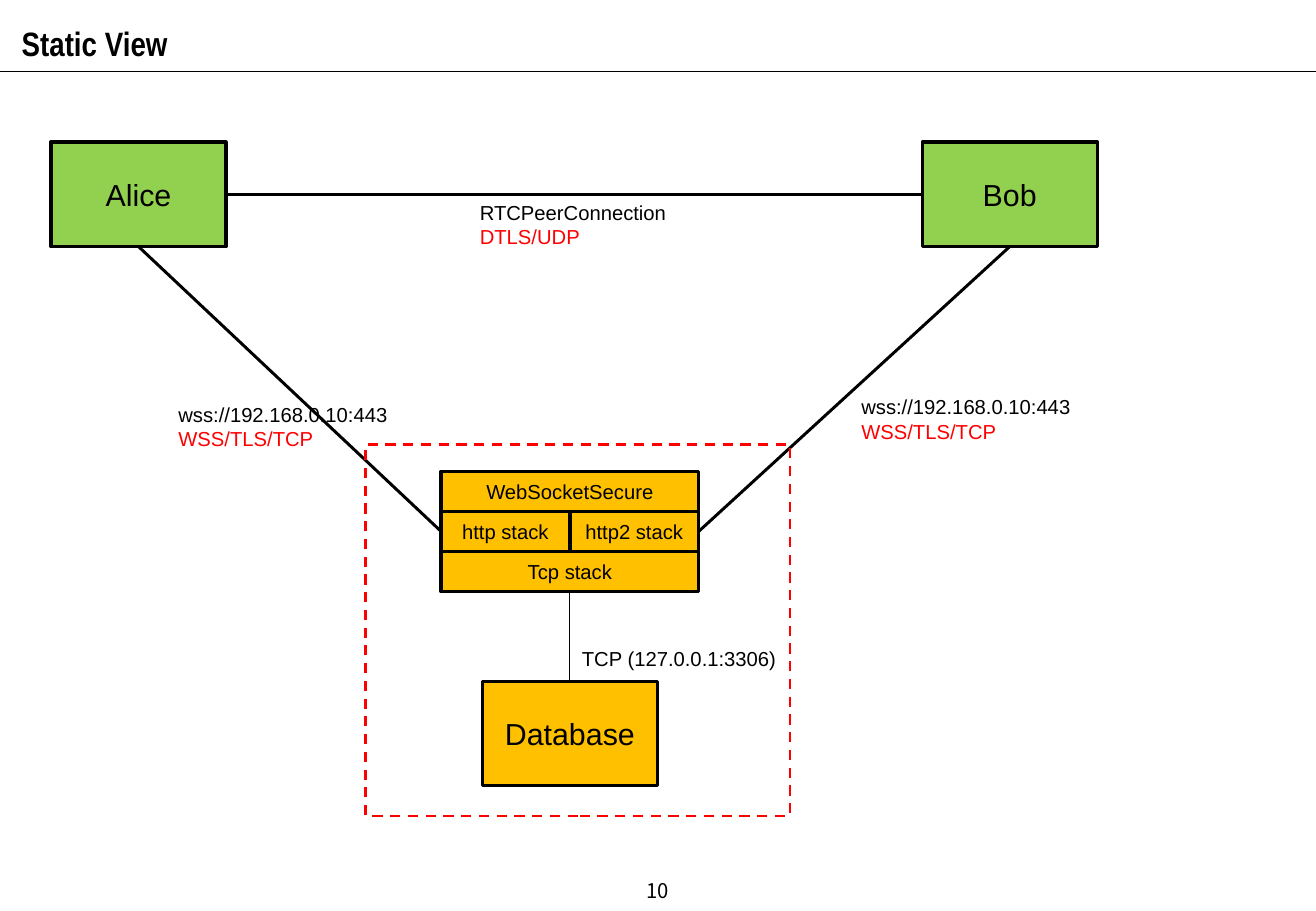
from lxml import etree
from pptx import Presentation
from pptx.dml.color import RGBColor
from pptx.enum.dml import MSO_LINE
from pptx.enum.shapes import MSO_CONNECTOR, MSO_SHAPE
from pptx.enum.text import MSO_ANCHOR, MSO_AUTO_SIZE, PP_ALIGN
from pptx.oxml.ns import qn
from pptx.util import Emu, Pt

RECTANGLE = MSO_SHAPE.RECTANGLE
STRAIGHT = MSO_CONNECTOR.STRAIGHT
DASH = MSO_LINE.DASH
MIDDLE, TOP_ANCHOR = MSO_ANCHOR.MIDDLE, MSO_ANCHOR.TOP
CENTER, LEFT_ALIGN = PP_ALIGN.CENTER, PP_ALIGN.LEFT
GROW = MSO_AUTO_SIZE.SHAPE_TO_FIT_TEXT

EMU_PER_PX = 9144  # 100 px to the inch
TOP, LEFT, BOTTOM, RIGHT = range(4)  # connection sites of a rectangle

COLORS = {
    "black": "000000",
    "red": "FF0000",
    "client": "92D050",
    "server": "FFC000",
}

PEER_SIZE = (144, 86)
PEER_TOP = 117
STACK_LEFT, STACK_TOP = 363, 388
STACK_WIDTH, LAYER_HEIGHT = 212, 33


def px(*lengths):
    return [Emu(length * EMU_PER_PX) for length in lengths]


def color(name):
    return RGBColor.from_string(COLORS[name])


def add_span(para, text, size, color_name="black", font="Arial", bold=False):
    span = para.add_run()
    span.text = text
    span.font.size = Pt(size)
    span.font.name = font
    span.font.bold = bold
    span.font.color.rgb = color(color_name)


def add_rectangle(page, area, line_color, line_width):
    box = page.shapes.add_shape(RECTANGLE, *px(*area))
    box.shadow.inherit = False
    box.line.color.rgb = color(line_color)
    box.line.width = Pt(line_width)
    return box


def add_node(page, area, text, fill, size):
    box = add_rectangle(page, area, "black", 2)
    box.fill.solid()
    box.fill.fore_color.rgb = color(fill)
    box.text_frame.word_wrap = True
    box.text_frame.vertical_anchor = MIDDLE
    para = box.text_frame.paragraphs[0]
    para.alignment = CENTER
    add_span(para, text, size)
    return box


def add_host_frame(page, area):
    frame = add_rectangle(page, area, "red", 1.5)
    frame.fill.background()
    frame.line.dash_style = DASH


def add_text_box(page, area, anchor=TOP_ANCHOR, align=LEFT_ALIGN):
    """Add an empty text box and return its text frame."""
    frame = page.shapes.add_textbox(*px(*area)).text_frame
    frame.word_wrap = True
    frame.vertical_anchor = anchor
    frame.paragraphs[0].alignment = align
    return frame


def add_label(page, area, address, protocol=None):
    """Add an address with, below it, the protocol in red."""
    frame = add_text_box(page, area)
    frame.auto_size = GROW
    add_span(frame.paragraphs[0], address, 12)
    if protocol:
        add_span(frame.add_paragraph(), protocol, 12, "red")


def add_line(page, start, end, width):
    line = page.shapes.add_connector(STRAIGHT, *px(*start, *end))
    line.line.color.rgb = color("black")
    line.line.width = Pt(width)
    etree.SubElement(line._element.spPr, qn("a:effectLst"))
    return line


def join(page, source, source_site, target, target_site, width=1.75):
    line = add_line(page, (0, 0), (0, 0), width)
    line.begin_connect(source, source_site)
    line.end_connect(target, target_site)


def add_stack(page):
    """Add the server's protocol layers and return them by name."""
    half = STACK_WIDTH // 2
    layers = [
        ("Tcp stack", 2, 0, STACK_WIDTH),
        ("http stack", 1, 0, half),
        ("http2 stack", 1, half, half),
        ("WebSocketSecure", 0, 0, STACK_WIDTH),
    ]
    return {
        name: add_node(
            page,
            (STACK_LEFT + offset, STACK_TOP + row * LAYER_HEIGHT, width, LAYER_HEIGHT),
            name, "server", 12)
        for name, row, offset, width in layers
    }


def add_title(page):
    add_line(page, (0, 59), (1083, 59), 0.75)
    para = add_text_box(page, (8, 7, 781, 47)).paragraphs[0]
    para.line_spacing = 1.2
    add_span(para, "Static View", 20, font="Arial Narrow", bold=True)


def add_page_number(page):
    frame = add_text_box(page, (415, 713, 253, 40), MIDDLE, CENTER)
    add_span(frame.paragraphs[0], "10", 12, font="Noto Sans CJK KR")


def main():
    deck = Presentation()
    deck.slide_width, deck.slide_height = px(1083, 750)
    page = deck.slides.add_slide(deck.slide_layouts[6])

    add_title(page)
    alice = add_node(page, (42, PEER_TOP, *PEER_SIZE), "Alice", "client", 18)
    bob = add_node(page, (759, PEER_TOP, *PEER_SIZE), "Bob", "client", 18)
    database = add_node(page, (397, 561, *PEER_SIZE), "Database", "server", 18)
    stack = add_stack(page)

    join(page, stack["Tcp stack"], BOTTOM, database, TOP, 0.75)
    join(page, alice, BOTTOM, stack["http stack"], LEFT)
    join(page, bob, BOTTOM, stack["http2 stack"], RIGHT)
    join(page, alice, RIGHT, bob, LEFT)

    add_label(page, (469, 527, 181, 30), "TCP (127.0.0.1:3306)")
    for left, top in ((137, 326), (699, 320)):
        add_label(page, (left, top, 194, 50), "wss://192.168.0.10:443", "WSS/TLS/TCP")
    add_label(page, (385, 160, 175, 50), "RTCPeerConnection", "DTLS/UDP")

    add_host_frame(page, (301, 366, 349, 306))
    add_page_number(page)
    deck.save("out.pptx")


if __name__ == "__main__":
    main()
